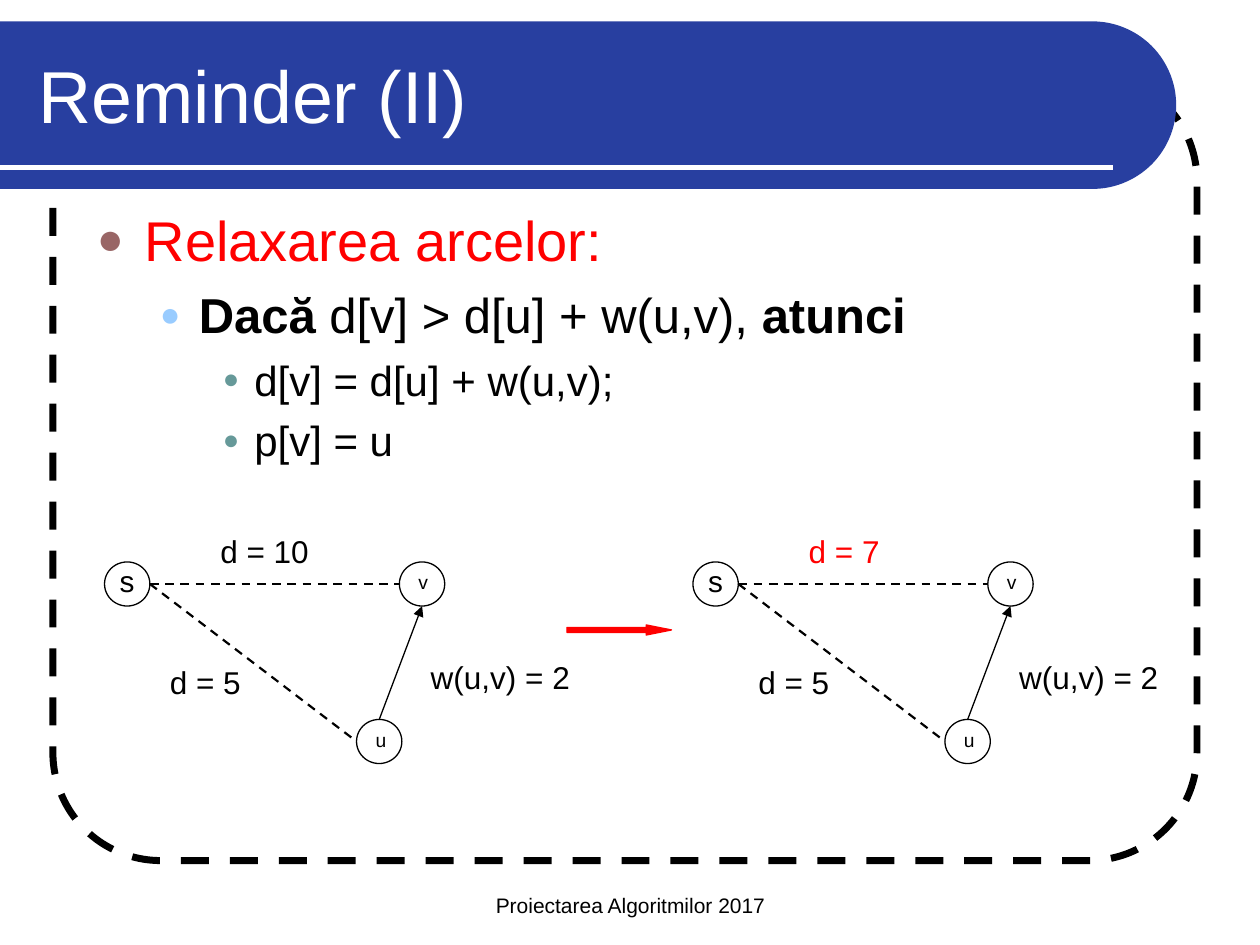
import math

from lxml import etree
from pptx import Presentation
from pptx.dml.color import RGBColor
from pptx.enum.dml import MSO_LINE
from pptx.enum.shapes import MSO_CONNECTOR, MSO_SHAPE
from pptx.enum.text import MSO_ANCHOR, PP_ALIGN
from pptx.oxml.ns import qn
from pptx.util import Inches, Pt

BLACK = RGBColor(0x00, 0x00, 0x00)
WHITE = RGBColor(0xFF, 0xFF, 0xFF)
RED = RGBColor(0xFF, 0x00, 0x00)
BLUE = RGBColor(0x28, 0x3F, 0xA0)
FONT = "Arial"
DASH = MSO_LINE.DASH
STRAIGHT = MSO_CONNECTOR.STRAIGHT
MIDDLE, TOP, BOTTOM = MSO_ANCHOR.MIDDLE, MSO_ANCHOR.TOP, MSO_ANCHOR.BOTTOM
LEFT, CENTER = PP_ALIGN.LEFT, PP_ALIGN.CENTER

TITLE = "Reminder (II)"
FOOTER = "Proiectarea Algoritmilor 2017"
BODY = [
    (0, RED, [("Relaxarea arcelor:", False)]),
    (1, BLACK, [("Dacă", True), (" d[v] > d[u] + w(u,v), ", False), ("atunci", True)]),
    (2, BLACK, [("d[v] = d[u] + w(u,v);", False)]),
    (2, BLACK, [("p[v] = u", False)]),
]
LEVELS = [
    {"size": 32, "margin": 0.38, "indent": -0.38, "before": 8, "bullet": "996666", "scale": 80},
    {"size": 28, "margin": 0.81, "indent": -0.31, "before": 7, "bullet": "99CCFF", "scale": 70},
    {"size": 24, "margin": 1.25, "indent": -0.25, "before": 6, "bullet": "669999", "scale": 65},
]
NODE_WIDTH, NODE_HEIGHT = 0.36, 0.35
NODES = [
    ("s", 0.83, 4.46, 17, CENTER, 0, 0),
    ("v", 3.17, 4.46, 11, LEFT, 0.1, 0.05),
    ("u", 2.83, 5.71, 11, LEFT, 0.1, 0.05),
]
FIXED_LABELS = [("d = 5", 1.25, 5.21, 0.8, BLACK), ("w(u,v) = 2", 3.32, 5.17, 1.35, BLACK)]
GRAPHS = [
    (0, ("d = 10", 1.65, 4.17, 0.95, BLACK)),
    (4.67, ("d = 7", 1.65, 4.17, 0.8, RED)),
]


def style_paragraph(paragraph, size, color, alignment=LEFT):
    paragraph.alignment = alignment
    paragraph.font.name = FONT
    paragraph.font.size = Pt(size)
    paragraph.font.color.rgb = color


def add_text(slide, box, text, size, color, alignment=LEFT, anchor=TOP):
    frame = slide.shapes.add_textbox(*map(Inches, box)).text_frame
    frame.word_wrap = True
    frame.vertical_anchor = anchor
    frame.text = text
    style_paragraph(frame.paragraphs[0], size, color, alignment)


def add_line(slide, start, end, color, width, dashed=False, arrow=False):
    line = slide.shapes.add_connector(STRAIGHT, *map(Inches, (*start, *end)))
    line.line.color.rgb = color
    line.line.width = Pt(width)
    if dashed:
        line.line.dash_style = DASH
    if arrow:
        etree.SubElement(line.line._get_or_add_ln(), qn("a:tailEnd"), type="triangle")
    etree.SubElement(line._element.spPr, qn("a:effectLst"))
    return line


def style_shape(shape, fill, line, width):
    shape.shadow.inherit = False
    if fill is None:
        shape.fill.background()
    else:
        shape.fill.solid()
        shape.fill.fore_color.rgb = fill
    shape.line.color.rgb = line
    shape.line.width = Pt(width)


def add_background(slide):
    frame = slide.shapes.add_shape(
        MSO_SHAPE.ROUNDED_RECTANGLE, *map(Inches, (0.42, 0.58, 9.08, 6.25)))
    frame.adjustments[0] = 0.137
    style_shape(frame, None, BLACK, 4)
    frame.line.dash_style = DASH

    top, bottom, center_x = 0.17, 1.5, 8.67
    radius = (bottom - top) / 2
    angles = [math.radians(degrees) for degrees in range(-90, 91, 3)]
    arc = [(Inches(center_x + radius * math.cos(angle)),
            Inches(top + radius + radius * math.sin(angle))) for angle in angles]
    builder = slide.shapes.build_freeform(0, Inches(top))
    builder.add_line_segments(arc + [(0, Inches(bottom))], close=True)
    banner = builder.convert_to_shape()
    style_shape(banner, BLUE, BLUE, 0)
    banner.line.fill.background()
    add_line(slide, (0, 1.33), (8.83, 1.33), WHITE, 3)


def add_body(slide):
    frame = slide.shapes.add_textbox(*map(Inches, (0.67, 1.58, 8.67, 5))).text_frame
    frame.word_wrap = True
    for index, (level, color, runs) in enumerate(BODY):
        look = LEVELS[level]
        paragraph = frame.add_paragraph() if index else frame.paragraphs[0]
        paragraph.level = level
        if index:
            paragraph.space_before = Pt(look["before"])
        properties = paragraph._p.get_or_add_pPr()
        properties.set("marL", str(Inches(look["margin"])))
        properties.set("indent", str(Inches(look["indent"])))
        bullet_color = etree.SubElement(properties, qn("a:buClr"))
        etree.SubElement(bullet_color, qn("a:srgbClr"), val=look["bullet"])
        etree.SubElement(properties, qn("a:buSzPct"), val=str(look["scale"] * 1000))
        etree.SubElement(properties, qn("a:buFont"), typeface=FONT)
        etree.SubElement(properties, qn("a:buChar"), char="●")
        style_paragraph(paragraph, look["size"], color)
        for text, bold in runs:
            run = paragraph.add_run()
            run.text = text
            run.font.bold = bold


def add_node(slide, shift, name, left, top, size, alignment, inset_x, inset_y):
    node = slide.shapes.add_shape(
        MSO_SHAPE.OVAL, *map(Inches, (left + shift, top, NODE_WIDTH, NODE_HEIGHT)))
    style_shape(node, WHITE, BLACK, 0.75)
    frame = node.text_frame
    frame.margin_left = frame.margin_right = Inches(inset_x)
    frame.margin_top = frame.margin_bottom = Inches(inset_y)
    frame.vertical_anchor = MIDDLE
    frame.text = name
    paragraph = frame.paragraphs[0]
    paragraph.line_spacing = 0.8
    style_paragraph(paragraph, size, BLACK, alignment)
    return node


def add_graph(slide, shift, distance_label):
    nodes = {node[0]: add_node(slide, shift, *node) for node in NODES}
    corners = {name: (left + shift, top) for name, left, top, *_ in NODES}

    def point(name, across, down):
        left, top = corners[name]
        return left + across * NODE_WIDTH, top + down * NODE_HEIGHT

    source = point("s", 1, 0.5)
    add_line(slide, source, point("u", 0, 0.5), BLACK, 1.25, dashed=True)
    edge = add_line(slide, point("u", 0.5, 0), point("v", 0.5, 1), BLACK, 0.75, arrow=True)
    edge.begin_connect(nodes["u"], 0)
    add_line(slide, source, point("v", 0, 0.5), BLACK, 1.25, dashed=True)
    for text, left, top, width, color in [distance_label, *FIXED_LABELS]:
        add_text(slide, (left + shift, top, width, 0.4), text, 18, color)


def add_step_arrow(slide):
    arrow = slide.shapes.add_shape(
        MSO_SHAPE.RIGHT_ARROW, *map(Inches, (4.5, 4.96, 0.83, 0.08)))
    arrow.adjustments[0] = 0.5
    arrow.adjustments[1] = 2.51
    style_shape(arrow, RED, RED, 0.75)


def main():
    presentation = Presentation()
    presentation.slide_width = Inches(10)
    presentation.slide_height = Inches(7.5)
    slide = presentation.slides.add_slide(presentation.slide_layouts[6])
    add_background(slide)
    add_text(slide, (3.42, 6.83, 3.17, 0.5), FOOTER, 12, BLACK, CENTER, BOTTOM)
    add_text(slide, (0.21, 0.25, 8.77, 1), TITLE, 42, WHITE, anchor=MIDDLE)
    add_body(slide)
    for shift, distance_label in GRAPHS:
        add_graph(slide, shift, distance_label)
    add_step_arrow(slide)
    presentation.save("out.pptx")


if __name__ == "__main__":
    main()
